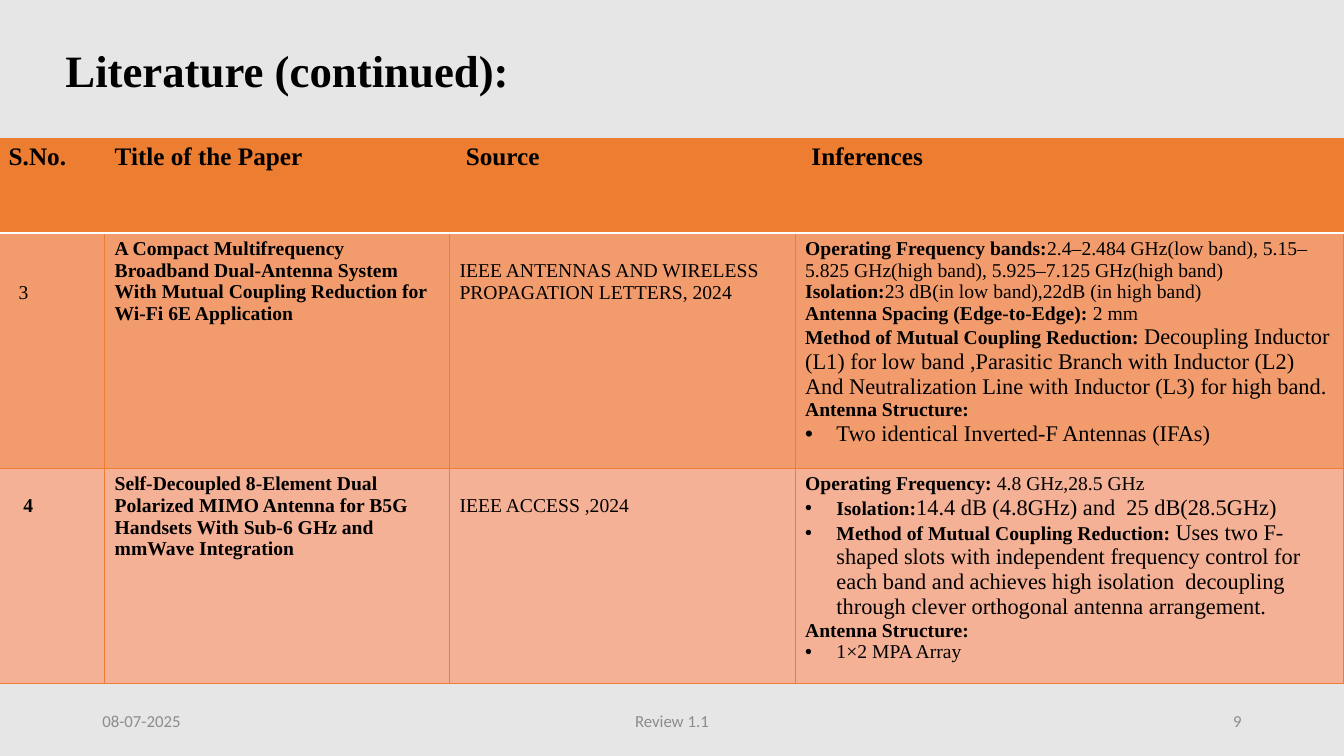
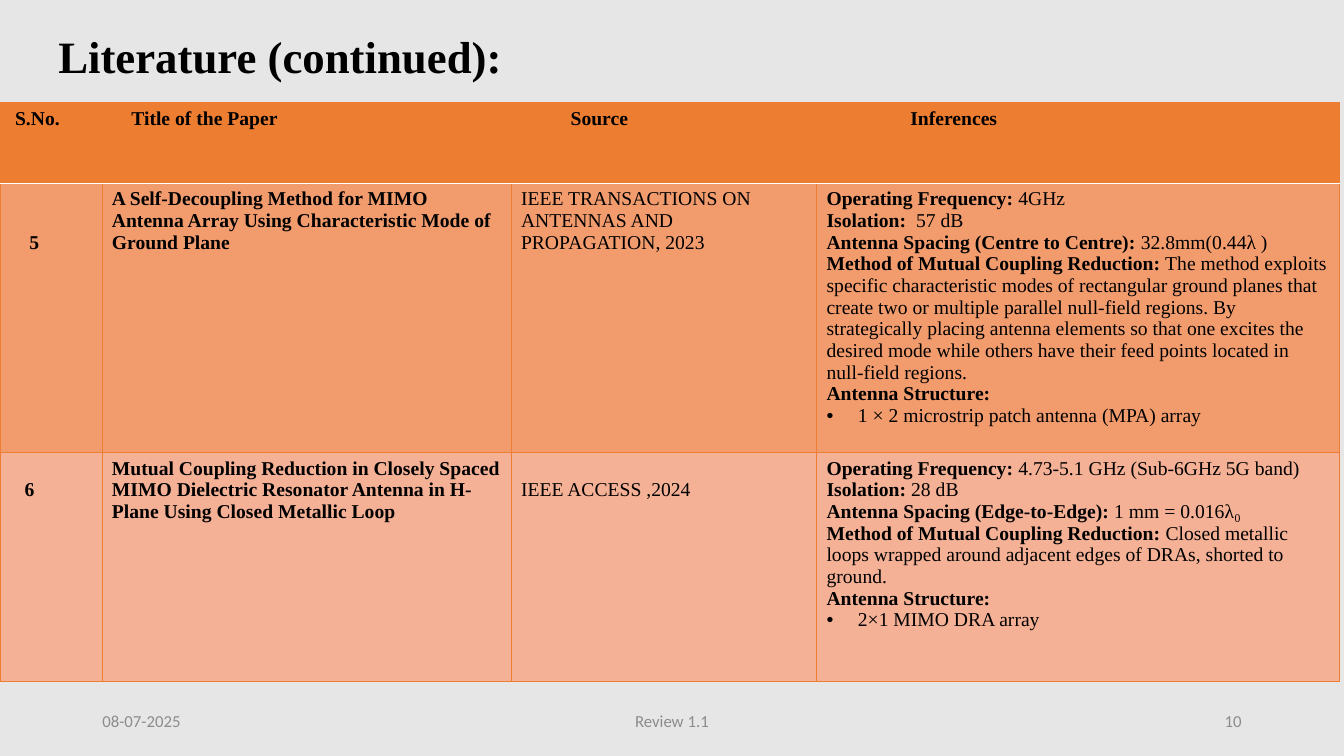
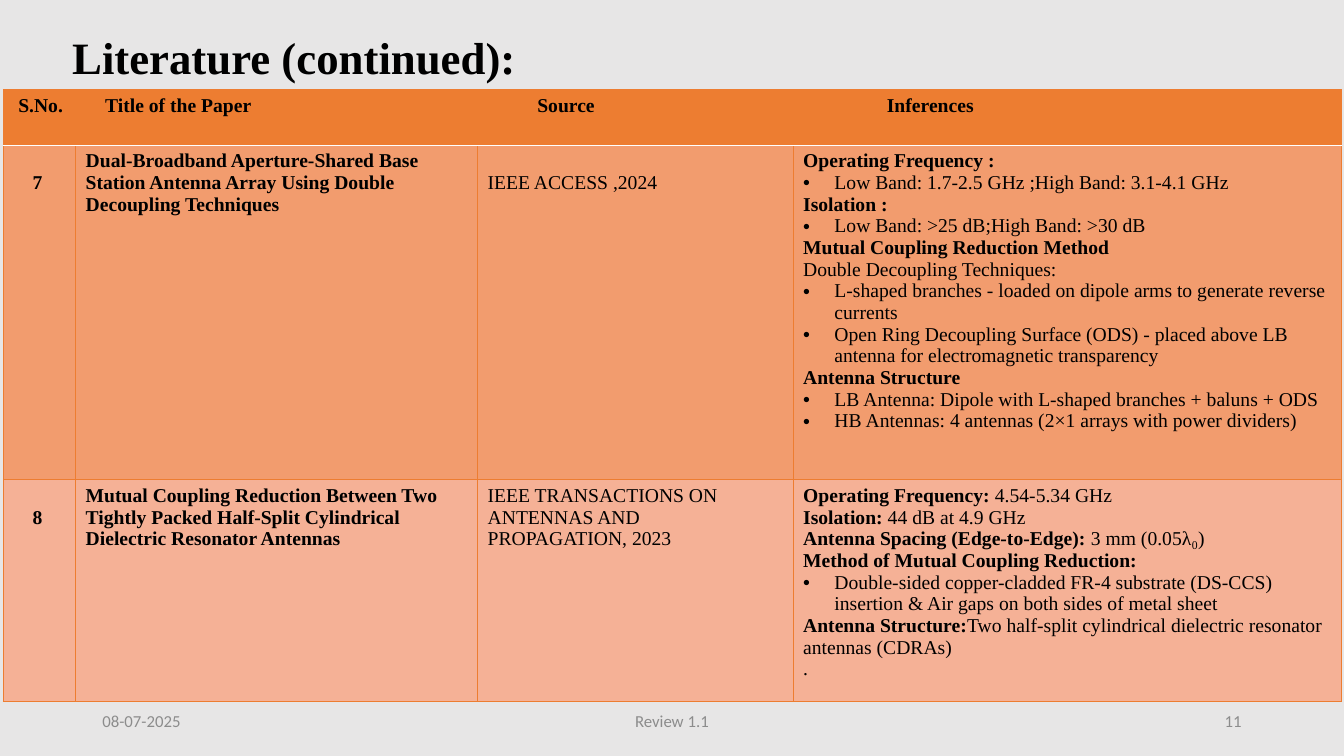
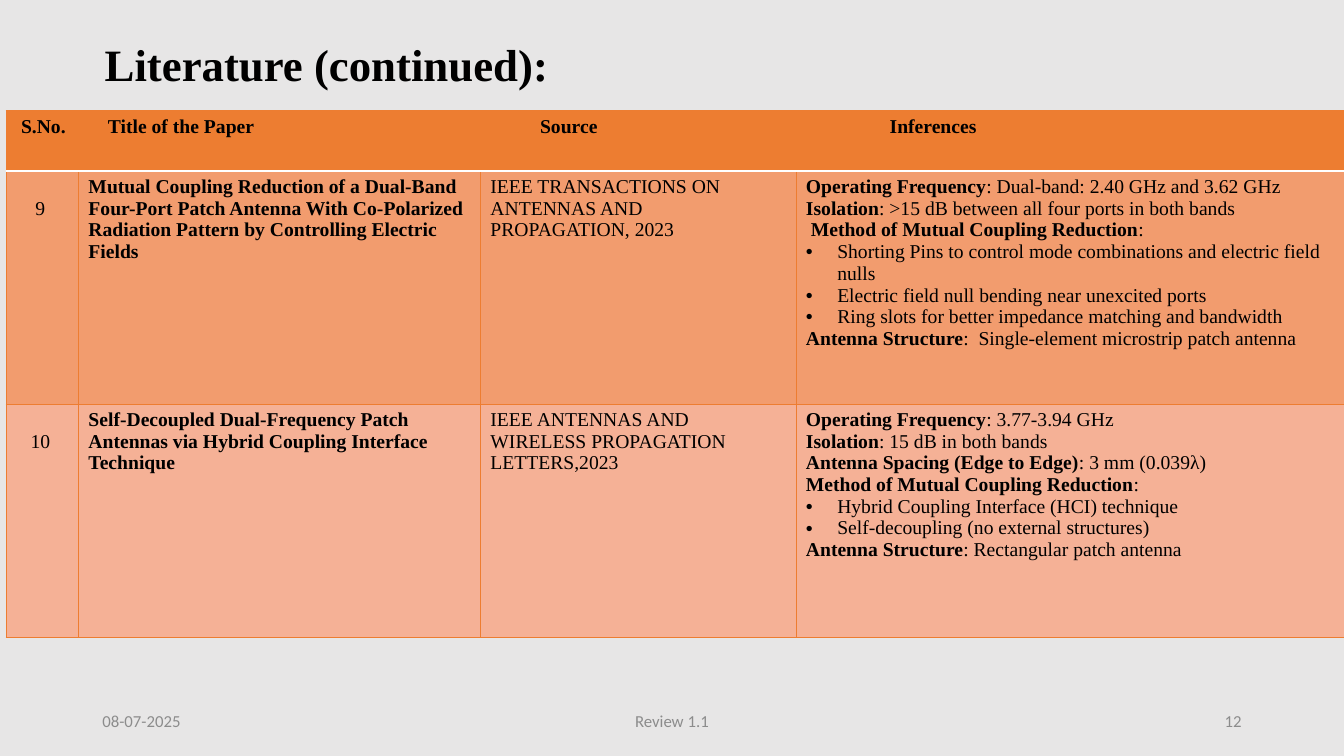
"""Builds four literature-survey slides, each with a table of two papers."""
from dataclasses import dataclass

from lxml import etree
from pptx import Presentation
from pptx.dml.color import RGBColor
from pptx.enum import text
from pptx.oxml import ns
from pptx.util import Cm, Pt

BACKGROUND = RGBColor(0xE7, 0xE6, 0xE6)
ORANGE = RGBColor(0xED, 0x7D, 0x31)
ROW_FILLS = (RGBColor(0xF2, 0x9C, 0x6E), RGBColor(0xF5, 0xB1, 0x96))
BLACK = RGBColor(0, 0, 0)
WHITE = RGBColor(0xFF, 0xFF, 0xFF)
GREY = RGBColor(0x8C, 0x8C, 0x8C)
SERIF = "Times New Roman"
SANS = "Calibri"

BODY_SIZE = 14
LINE_HEIGHT = 0.55
SIDE_PAD = 0.25
TOP_PAD = 0.13
BULLET_INDENT = 0.79
HEADINGS = ("S.No.", "Title of the Paper", "Source", "Inferences")
WIDE_HEAD_PADS = (0.38, 0.74, 1.5, 2.36)
WIDE_COLS = (1.83, 10.13, 7.95, 13.82)


@dataclass
class Para:
    label: str = ""
    value: str = ""
    size: int = BODY_SIZE
    bullet: bool = False


@dataclass
class Paper:
    number: str
    title: str
    source: str
    inferences: list
    number_left: float = 0.74
    number_lines: int = 1
    number_bold: bool = True
    source_lines: int = 0


@dataclass
class Survey:
    title_at: tuple
    table_at: tuple
    cols: tuple
    rows: tuple
    papers: list
    head_size: int = 14
    head_pads: tuple = WIDE_HEAD_PADS


def item(value, label="", size=BODY_SIZE):
    return Para(label, value, size, bullet=True)


SURVEYS = [
    Survey((1.4, 0.71), (-0.03, 3.48), (2.67, 8.69, 8.71, 13.82), (2.39, 5.49, 5.03), [
        Paper("3", "A Compact Multifrequency Broadband Dual-Antenna System With Mutual "
              "Coupling Reduction for Wi-Fi 6E Application",
              "IEEE ANTENNAS AND WIRELESS PROPAGATION LETTERS, 2024", [
                  Para("Operating Frequency bands:", "2.4–2.484 GHz(low band), "
                       "5.15–5.825 GHz(high band), 5.925–7.125 GHz(high band)"),
                  Para("Isolation:", "23 dB(in low band),22dB (in high band)"),
                  Para("Antenna Spacing (Edge-to-Edge):", " 2 mm"),
                  Para("Method of Mutual Coupling Reduction: ", "Decoupling Inductor (L1) "
                       "for low band ,Parasitic Branch with Inductor (L2)", 16),
                  Para("", "And Neutralization Line with Inductor (L3) for high band.", 16),
                  Para("Antenna Structure:"),
                  item("Two identical Inverted-F Antennas (IFAs)", size=16),
              ], number_left=0.5, number_lines=2, number_bold=False, source_lines=1),
        Paper("4", "Self-Decoupled 8-Element Dual Polarized MIMO Antenna for B5G Handsets "
              "With Sub-6 GHz and mmWave Integration", "IEEE ACCESS ,2024", [
                  Para("Operating Frequency:", " 4.8 GHz,28.5 GHz"),
                  item("14.4 dB (4.8GHz) and  25 dB(28.5GHz)", "Isolation:", 16),
                  item("Uses two F-shaped slots with independent frequency control for each "
                       "band and achieves high isolation  decoupling through clever "
                       "orthogonal antenna arrangement.",
                       "Method of Mutual Coupling Reduction: ", 16),
                  Para("Antenna Structure:"),
                  item("1×2 MPA Array"),
              ], number_left=0.62, source_lines=1),
    ], head_size=18, head_pads=(0.25, 0.25, 0.41, 0.41)),
    Survey((1.22, 0.36), (0, 2.59), (2.57, 10.31, 7.7, 13.18), (2.03, 6.78, 5.77), [
        Paper("5", "A Self-Decoupling Method for MIMO Antenna Array Using Characteristic "
              "Mode of Ground Plane",
              "IEEE TRANSACTIONS ON ANTENNAS AND PROPAGATION, 2023", [
                  Para("Operating Frequency:", " 4GHz"),
                  Para("Isolation:", "  57 dB"),
                  Para("Antenna Spacing (Centre to Centre):", " 32.8mm(0.44λ )"),
                  Para("Method of Mutual Coupling Reduction:", " The method exploits specific "
                       "characteristic modes of rectangular ground planes that create two or "
                       "multiple parallel null-field regions. By strategically placing antenna "
                       "elements so that one excites the desired mode while others have their "
                       "feed points located in null-field regions."),
                  Para("Antenna Structure:"),
                  item("1 × 2 microstrip patch antenna (MPA) array"),
              ], number_lines=2),
        Paper("6", "Mutual Coupling Reduction in Closely Spaced MIMO Dielectric Resonator "
              "Antenna in H-Plane Using Closed Metallic Loop", "IEEE ACCESS ,2024", [
                  Para("Operating Frequency:", " 4.73-5.1 GHz (Sub-6GHz 5G band)"),
                  Para("Isolation:", " 28 dB"),
                  Para("Antenna Spacing (Edge-to-Edge):", " 1 mm = 0.016λ₀"),
                  Para("Method of Mutual Coupling Reduction:", " Closed metallic loops wrapped "
                       "around adjacent edges of DRAs, shorted to ground."),
                  Para("Antenna Structure:"),
                  item("2×1 MIMO DRA array"),
              ], number_left=0.62, source_lines=1),
    ]),
    Survey((1.57, 0.38), (0.08, 2.26), WIDE_COLS, (1.4, 8.43, 5.35), [
        Paper("7", "Dual-Broadband Aperture-Shared Base Station Antenna Array Using Double "
              "Decoupling Techniques", "IEEE ACCESS ,2024", [
                  Para("Operating Frequency :"),
                  item("Low Band: 1.7-2.5 GHz ;High Band: 3.1-4.1 GHz"),
                  Para("Isolation :"),
                  item("Low Band: >25 dB;High Band: >30 dB"),
                  Para("Mutual Coupling Reduction Method"),
                  Para("", "Double Decoupling Techniques:"),
                  item("L-shaped branches - loaded on dipole arms to generate reverse currents"),
                  item("Open Ring Decoupling Surface (ODS) - placed above LB antenna for "
                       "electromagnetic transparency"),
                  Para("Antenna Structure"),
                  item("LB Antenna: Dipole with L-shaped branches + baluns + ODS"),
                  item("HB Antennas: 4 antennas (2×1 arrays with power dividers)"),
              ], source_lines=1),
        Paper("8", "Mutual Coupling Reduction Between Two Tightly Packed Half-Split "
              "Cylindrical Dielectric Resonator Antennas",
              "IEEE TRANSACTIONS ON ANTENNAS AND PROPAGATION, 2023", [
                  Para("Operating Frequency:", " 4.54-5.34 GHz"),
                  Para("Isolation:", " 44 dB at 4.9 GHz"),
                  Para("Antenna Spacing (Edge-to-Edge):", " 3 mm (0.05λ₀)"),
                  Para("Method of Mutual Coupling Reduction:"),
                  item("Double-sided copper-cladded FR-4 substrate (DS-CCS) insertion & Air "
                       "gaps on both sides of metal sheet"),
                  Para("Antenna Structure:", "Two half-split cylindrical dielectric resonator "
                       " antennas (CDRAs)"),
                  Para("", "."),
              ]),
    ]),
    Survey((2.39, 0.56), (0.15, 2.79), WIDE_COLS, (1.52, 5.87, 5.87), [
        Paper("9", "Mutual Coupling Reduction of a Dual-Band Four-Port Patch Antenna With "
              "Co-Polarized Radiation Pattern by Controlling Electric Fields",
              "IEEE TRANSACTIONS ON ANTENNAS AND PROPAGATION, 2023", [
                  Para("Operating Frequency", ": Dual-band: 2.40 GHz and 3.62 GHz"),
                  Para("Isolation", ": >15 dB between all four ports in both bands"),
                  Para(" Method of Mutual Coupling Reduction", ":"),
                  item("Shorting Pins to control mode combinations and electric field nulls"),
                  item("Electric field null bending near unexcited ports"),
                  item("Ring slots for better impedance matching and bandwidth"),
                  Para("Antenna Structure", ":  Single-element microstrip patch antenna"),
              ], number_bold=False),
        Paper("10", "Self-Decoupled Dual-Frequency Patch Antennas via Hybrid Coupling "
              "Interface Technique",
              "IEEE ANTENNAS AND WIRELESS PROPAGATION LETTERS,2023", [
                  Para("Operating Frequency", ": 3.77-3.94 GHz"),
                  Para("Isolation", ": 15 dB in both bands"),
                  Para("Antenna Spacing (Edge to Edge)", ": 3 mm (0.039λ)"),
                  Para("Method of Mutual Coupling Reduction", ":"),
                  item("Hybrid Coupling Interface (HCI) technique"),
                  item("Self-decoupling (no external structures)"),
                  Para("Antenna Structure", ": Rectangular patch antenna"),
              ], number_left=0.62, number_bold=False),
    ]),
]


def add_run(p, content, size, bold=False, color=BLACK, font=SERIF):
    r = p.add_run()
    r.text = content
    r.font.size = Pt(size)
    r.font.bold = bold
    r.font.name = font
    r.font.color.rgb = color


def add_box(s, left, top, width, height):
    tf = s.shapes.add_textbox(Cm(left), Cm(top), Cm(width), Cm(height)).text_frame
    tf.word_wrap = True
    tf.vertical_anchor = text.MSO_ANCHOR.MIDDLE
    return tf.paragraphs[0]


def add_title(s, left, top):
    p = add_box(s, left, top, 29.21, 2.24)
    p.line_spacing = 0.9
    add_run(p, "Literature (continued):", 32, True)


def add_footer(s, number):
    align = text.PP_ALIGN
    for content, left, width, side in (("08-07-2025", 2.33, 7.62, align.LEFT),
                                       ("Review 1.1", 11.22, 11.43, align.CENTER),
                                       (str(number), 23.92, 7.62, align.RIGHT)):
        p = add_box(s, left, 17.66, width, 1.01)
        p.alignment = side
        add_run(p, content, 12, color=GREY, font=SANS)


def set_bullet(p):
    pPr = p._p.get_or_add_pPr()
    pPr.set("marL", str(Cm(BULLET_INDENT)))
    pPr.set("indent", str(-Cm(BULLET_INDENT)))
    clr = etree.SubElement(pPr, ns.qn("a:buClr"))
    etree.SubElement(clr, ns.qn("a:srgbClr"), val=str(BLACK))
    etree.SubElement(pPr, ns.qn("a:buFont"), typeface="Arial")
    etree.SubElement(pPr, ns.qn("a:buChar"), char="•")


def set_borders(cell, row):
    tcPr = cell._tc.get_or_add_tcPr()
    white_side = {0: "lnB", 1: "lnT"}.get(row)
    for i, side in enumerate(("lnL", "lnR", "lnT", "lnB")):
        color, width = (WHITE, 1) if side == white_side else (ORANGE, 0.5)
        ln = etree.Element(ns.qn("a:" + side), w=str(Pt(width)))
        fill = etree.SubElement(ln, ns.qn("a:solidFill"))
        etree.SubElement(fill, ns.qn("a:srgbClr"), val=str(color))
        tcPr.insert(i, ln)


def fill_cell(cell, paras, left=SIDE_PAD, lines_above=0):
    cell.margin_left = Cm(left)
    cell.margin_top = Cm(TOP_PAD + lines_above * LINE_HEIGHT)
    tf = cell.text_frame
    for i, para in enumerate(paras):
        p = tf.add_paragraph() if i else tf.paragraphs[0]
        if para.bullet:
            set_bullet(p)
        if para.label:
            add_run(p, para.label, BODY_SIZE, True)
        if para.value:
            add_run(p, para.value, para.size)


def fill_paper(cells, paper):
    number = Para(paper.number) if paper.number_bold else Para("", paper.number)
    fill_cell(cells[0], [number], paper.number_left, paper.number_lines)
    fill_cell(cells[1], [Para(paper.title)])
    fill_cell(cells[2], [Para("", paper.source)], lines_above=paper.source_lines)
    fill_cell(cells[3], paper.inferences)


def add_papers_table(s, survey):
    left, top = survey.table_at
    tbl = s.shapes.add_table(len(survey.rows), len(survey.cols), Cm(left), Cm(top),
                             Cm(sum(survey.cols)), Cm(sum(survey.rows))).table
    for col, width in zip(tbl.columns, survey.cols):
        col.width = Cm(width)
    for i, (row, height) in enumerate(zip(tbl.rows, survey.rows)):
        row.height = Cm(height)
        for cell in row.cells:
            cell.fill.solid()
            cell.fill.fore_color.rgb = ROW_FILLS[i - 1] if i else ORANGE
            set_borders(cell, i)
    for cell, heading, pad in zip(tbl.rows[0].cells, HEADINGS, survey.head_pads):
        cell.margin_left = Cm(pad)
        add_run(cell.text_frame.paragraphs[0], heading, survey.head_size, True)
    for i, paper in enumerate(survey.papers, 1):
        fill_paper(list(tbl.rows[i].cells), paper)


def main():
    prs = Presentation()
    prs.slide_width, prs.slide_height = Cm(33.87), Cm(19.05)
    background = prs.slide_master.background.fill
    background.solid()
    background.fore_color.rgb = BACKGROUND
    for number, survey in enumerate(SURVEYS, 9):
        s = prs.slides.add_slide(prs.slide_layouts[6])
        add_title(s, *survey.title_at)
        add_papers_table(s, survey)
        add_footer(s, number)
    prs.save("out.pptx")


if __name__ == "__main__":
    main()
